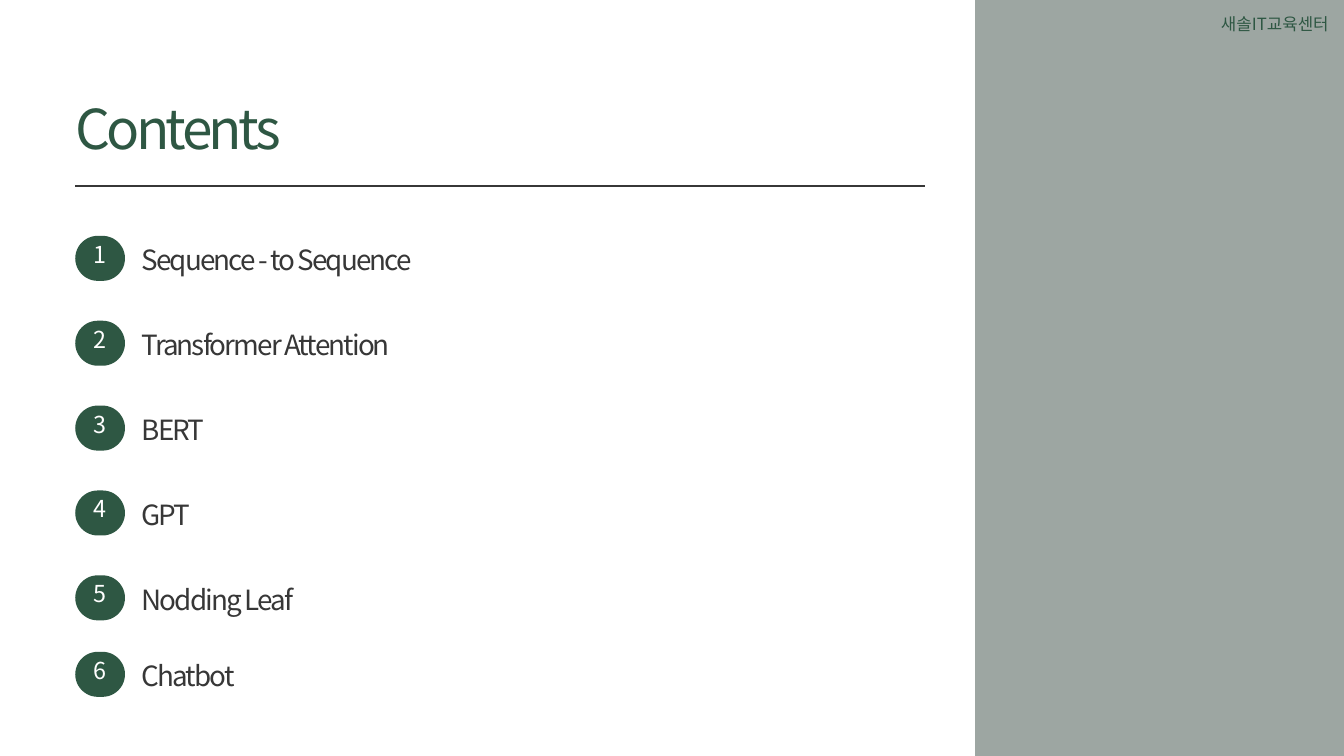
from lxml import etree
from pptx import Presentation
from pptx.dml.color import RGBColor
from pptx.enum import shapes, text
from pptx.oxml.ns import qn
from pptx.util import Inches, Pt

TITLE = "Contents"
CENTER = "새솔IT교육센터"
TOPICS = ["Sequence - to Sequence", "Transformer Attention", "BERT", "GPT",
          "Nodding Leaf", "Chatbot"]

FONT = "Noto Sans CJK KR"
GREEN = RGBColor(0x2E, 0x57, 0x43)
SAGE = RGBColor(0x9D, 0xA6, 0xA2)
INK = RGBColor(0x37, 0x37, 0x37)
WHITE = RGBColor(0xFF, 0xFF, 0xFF)

WIDTH, HEIGHT = 20, 11.25
PANEL_LEFT = 14.51
MARGIN, RULE_RIGHT, RULE_Y = 1.12, 13.76, 2.77
FIRST_ROW, ROW_PITCH, LAST_ROW = 3.51, 1.263, 9.7
BADGE_W, BADGE_H = 0.74, 0.67
NUMBER_RISE = 0.2
LABEL_LEFT, LABEL_DROP = 2.11, 0.02


def add_block(slide, shape, left, top, width, height, fill):
    sp = slide.shapes.add_shape(shape, *map(Inches, (left, top, width, height)))
    sp.shadow.inherit = False
    sp.fill.solid()
    sp.fill.fore_color.rgb = fill
    sp.line.fill.background()
    return sp


def add_text(slide, words, box, size, color, inset=0, leading=None, tracking=0,
             align=text.PP_ALIGN.LEFT, anchor=text.MSO_ANCHOR.TOP):
    """Add a one-paragraph text box; leading and tracking are in points."""
    tf = slide.shapes.add_textbox(*map(Inches, box)).text_frame
    tf.word_wrap = True
    tf.vertical_anchor = anchor
    if inset is not None:
        tf.margin_left = tf.margin_right = Inches(inset)
        tf.margin_top = tf.margin_bottom = Inches(inset)
    p = tf.paragraphs[0]
    p.alignment = align
    if leading:
        p.line_spacing = Pt(leading)
    r = p.add_run()
    r.text = words
    r.font.size = Pt(size)
    r.font.name = FONT
    r.font.color.rgb = color
    props = r.font._element
    etree.SubElement(props, qn("a:ea")).set("typeface", FONT)
    if tracking:
        props.set("spc", str(round(tracking * 100)))


def add_rule(slide):
    line = slide.shapes.add_connector(
        shapes.MSO_CONNECTOR.STRAIGHT,
        *map(Inches, (MARGIN, RULE_Y, RULE_RIGHT, RULE_Y)))
    line.line.color.rgb = INK
    line.line.width = Pt(1.5)
    etree.SubElement(line._element.spPr, qn("a:effectLst"))


def add_topic(slide, number, topic, top):
    badge = add_block(slide, shapes.MSO_SHAPE.ROUNDED_RECTANGLE,
                      MARGIN, top, BADGE_W, BADGE_H, GREEN)
    badge.adjustments[0] = 0.5
    add_text(slide, str(number),
             (MARGIN, top - NUMBER_RISE, BADGE_W, BADGE_H + NUMBER_RISE),
             25, WHITE, inset=0.06, leading=35,
             align=text.PP_ALIGN.CENTER, anchor=text.MSO_ANCHOR.MIDDLE)
    add_text(slide, topic, (LABEL_LEFT, top + LABEL_DROP, 4.96, 0.58),
             29.8, INK, leading=41.7, tracking=-2)


def main():
    prs = Presentation()
    prs.slide_width, prs.slide_height = Inches(WIDTH), Inches(HEIGHT)
    slide = prs.slides.add_slide(prs.slide_layouts[6])

    add_block(slide, shapes.MSO_SHAPE.RECTANGLE,
              PANEL_LEFT, 0, WIDTH - PANEL_LEFT, HEIGHT, SAGE)
    add_text(slide, CENTER, (17.95, 0.15, 1.92, 0.4), 18, GREEN,
             inset=None, align=text.PP_ALIGN.RIGHT)
    add_rule(slide)
    add_text(slide, TITLE, (MARGIN, 1.24, 10.15, 1.06), 58.8, GREEN,
             leading=82.3, tracking=-3.9)

    tops = [FIRST_ROW + i * ROW_PITCH for i in range(len(TOPICS) - 1)] + [LAST_ROW]
    for number, (topic, top) in enumerate(zip(TOPICS, tops), start=1):
        add_topic(slide, number, topic, top)

    prs.save("out.pptx")


if __name__ == "__main__":
    main()
